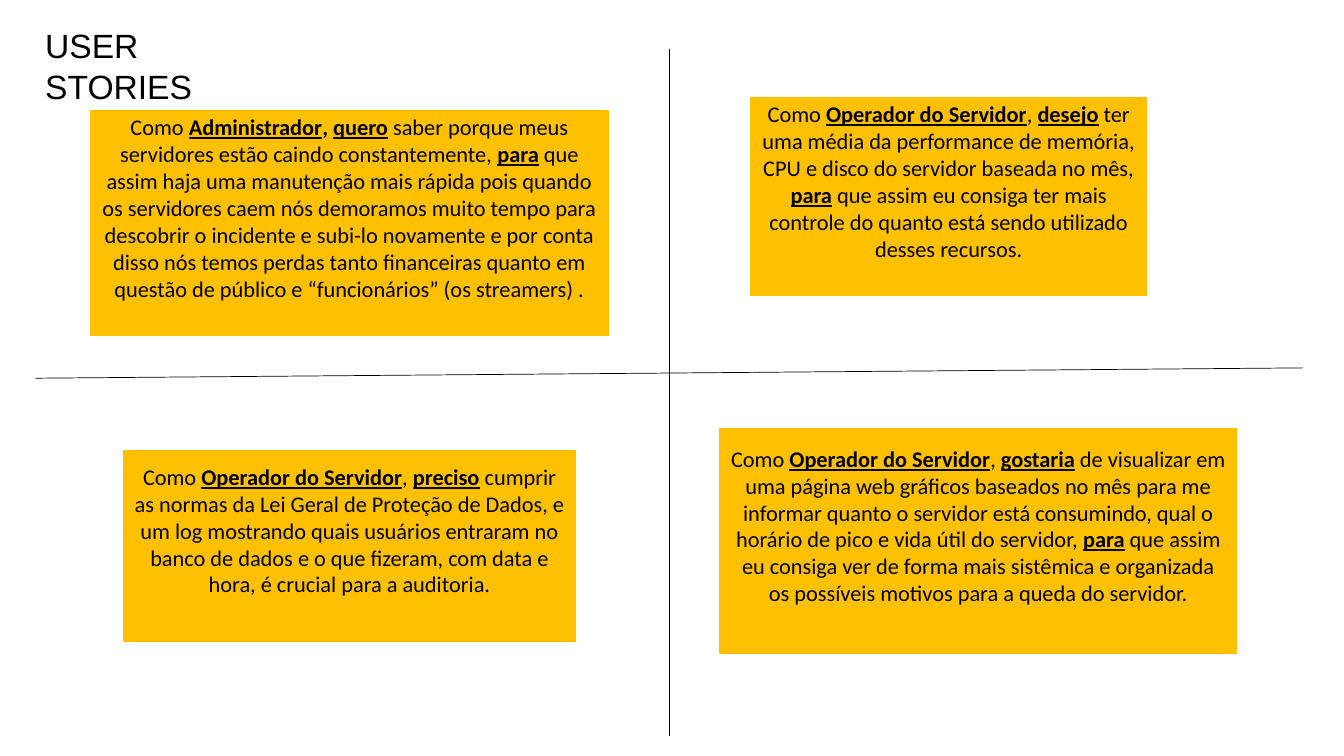
import pptx
import pptx.dml.color
import pptx.enum.dml
import pptx.enum.shapes
import pptx.enum.text
import pptx.oxml
import pptx.util

Cm = pptx.util.Cm
Pt = pptx.util.Pt

PLAIN, BOLD, KEY = (False, False), (True, False), (True, True)

STORIES = [
    ((2.29, 2.79, 13.03, 5.66), [
        ("Como ", PLAIN), ("Administrador", KEY), (", ", BOLD), ("quero", KEY), (" ", BOLD),
        ("saber porque meus servidores estão caindo constantemente, ", PLAIN), ("para", KEY),
        (" que assim haja uma manutenção mais rápida pois quando os servidores caem nós "
         "demoramos muito tempo para descobrir o incidente e subi-lo novamente e por conta "
         "disso nós temos perdas tanto financeiras quanto em questão de público e "
         "“funcionários” (os streamers) .", PLAIN)]),
    ((18.92, 2.46, 9.98, 4.98), [
        ("Como ", PLAIN), ("Operador do Servidor", KEY), (", ", PLAIN), ("desejo", KEY),
        (" ter uma média da performance de memória, CPU e disco do servidor baseada no mês, ",
         PLAIN), ("para", KEY),
        (" que assim eu consiga ter mais controle do quanto está sendo utilizado "
         "desses recursos.", PLAIN)]),
    ((18.14, 10.8, 13.03, 5.66), [
        ("Como ", PLAIN), ("Operador do Servidor", KEY), (", ", PLAIN), ("gostaria", KEY),
        (" de visualizar em uma página web gráficos baseados no mês para me informar quanto o "
         "servidor está consumindo, qual o horário de pico e vida útil do servidor, ", PLAIN),
        ("para", KEY),
        (" que assim eu consiga ver de forma mais sistêmica e organizada os possíveis motivos "
         "para a queda do servidor.", PLAIN)]),
    ((3.12, 11.35, 11.38, 4.8), [
        ("Como ", PLAIN), ("Operador do Servidor", KEY), (", ", PLAIN), ("preciso", KEY),
        (" cumprir as normas da Lei Geral de Proteção de Dados, e um log mostrando quais "
         "usuários entraram no banco de dados e o que fizeram, com data e hora, é crucial "
         "para a auditoria.", PLAIN)]),
]

AXES = [(16.87, 1.24, 16.87, 18.54), (32.84, 9.27, 0.89, 9.53)]


def color(value):
    """Turn a hex string into a colour."""
    return pptx.dml.color.RGBColor.from_string(value)


def add_span(para, text, font, size, style=PLAIN):
    """Append one run of black text to a paragraph."""
    span = para.add_run()
    span.text = text
    span.font.name = font
    span.font.size = Pt(size)
    span.font.bold, span.font.underline = style
    span.font.color.rgb = color("000000")


def add_title(page, box, text):
    """Place the page title in its box."""
    title = page.shapes.add_textbox(*map(Cm, box))
    frame = title.text_frame
    frame.word_wrap = True
    frame.auto_size = pptx.enum.text.MSO_AUTO_SIZE.SHAPE_TO_FIT_TEXT
    add_span(frame.paragraphs[0], text, "Arial", 24)


def add_story(page, box, spans):
    """Place one user story card, its text sitting above the middle."""
    card = page.shapes.add_shape(pptx.enum.shapes.MSO_SHAPE.RECTANGLE, *map(Cm, box))
    card.shadow.inherit = False
    card.fill.solid()
    card.fill.fore_color.rgb = color("FFC000")
    card.line.color.rgb = color("FFC000")
    card.line.width = Pt(1)
    frame = card.text_frame
    frame.word_wrap = True
    frame.vertical_anchor = pptx.enum.text.MSO_ANCHOR.MIDDLE
    frame.margin_bottom = Cm(0.9)
    para = frame.paragraphs[0]
    para.alignment = pptx.enum.text.PP_ALIGN.CENTER
    for text, style in spans:
        add_span(para, text, "Calibri", 16, style)


def add_axis(page, ends):
    """Draw one thin dividing line between two ends."""
    axis = page.shapes.add_connector(pptx.enum.shapes.MSO_CONNECTOR.STRAIGHT, *map(Cm, ends))
    axis.line.color.rgb = color("000000")
    axis.line.width = Pt(0.5)
    axis.element.spPr.append(pptx.oxml.parse_xml(
        '<a:effectLst xmlns:a="http://schemas.openxmlformats.org/drawingml/2006/main"/>'))


def main():
    """Build the deck and save it."""
    deck = pptx.Presentation()
    deck.slide_width, deck.slide_height = Cm(33.87), Cm(19.05)
    page = deck.slides.add_slide(deck.slide_layouts[6])
    add_title(page, (0.89, 0.51, 6.53, 1.27), "USER STORIES")
    for box, spans in STORIES:
        add_story(page, box, spans)
    for ends in AXES:
        add_axis(page, ends)
    deck.save("out.pptx")


if __name__ == "__main__":
    main()
